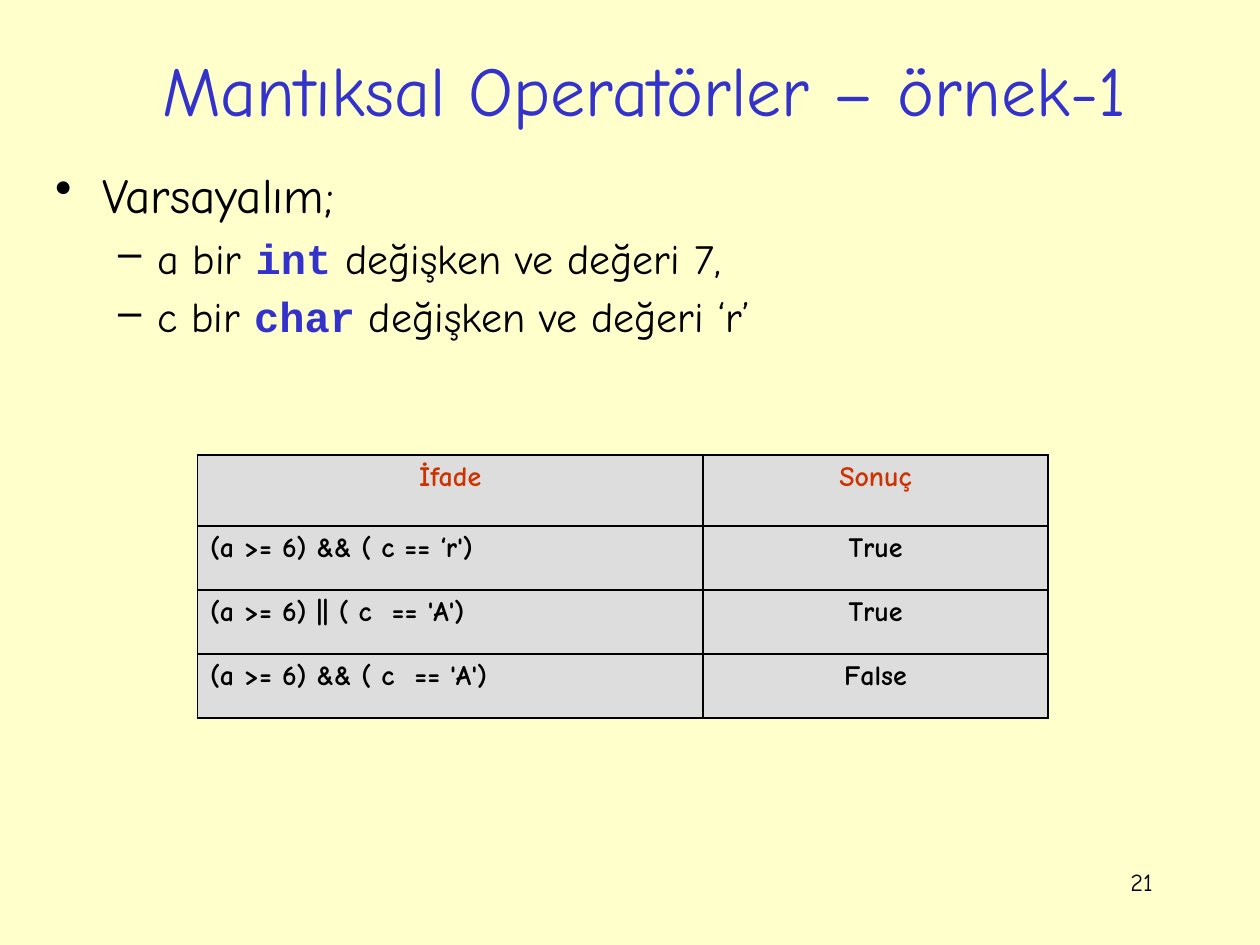
from lxml.etree import SubElement
from pptx import Presentation
from pptx.dml.color import RGBColor
from pptx.enum.text import MSO_ANCHOR, PP_ALIGN
from pptx.oxml.ns import qn
from pptx.util import Cm, Pt

# Content
TITLE = "Mantıksal Operatörler – örnek-1"
PAGE_NUMBER = "21"
# Each line: level, then its pieces as (text, is keyword)
LINES = [
    (0, [("Varsayalım;", False)]),
    (1, [("a bir ", False), ("int", True), (" değişken ve değeri 7,", False)]),
    (1, [("c bir ", False), ("char", True), (" değişken ve değeri ‘r’", False)]),
]
TABLE_ROWS = [
    ("İfade", "Sonuç"),
    ("(a >= 6) && ( c == ‘r')", "True"),
    ("(a >= 6) || ( c  == 'A')", "True"),
    ("(a >= 6) && ( c  == 'A')", "False"),
]

# Style
COLORS = {
    "background": "FFFFCC",
    "accent": "3333CC",
    "text": "000000",
    "header": "CC3300",
    "cell": "DDDDDD",
    "border": "000000",
}
FONT, CODE_FONT = "Comic Neue", "Courier New"
# Per level: bullet, size, left margin and hanging indent in cm
LEVELS = [("•", 28, 0.95, 0.95), ("–", 24, 2.06, 0.79)]
COLUMN_WIDTHS = (10.19, 6.96)
HEADER_HEIGHT, ROW_HEIGHT = 1.43, 1.29


def format_run(run, size, color, name=FONT, bold=False):
    run.font.size = Pt(size)
    run.font.name = name
    run.font.bold = bold
    run.font.color.rgb = RGBColor.from_string(COLORS[color])


def add_text_box(slide, left, top, width, height):
    box = slide.shapes.add_textbox(Cm(left), Cm(top), Cm(width), Cm(height))
    box.text_frame.word_wrap = True
    return box.text_frame


def add_line(slide, text, position, size, color, align, anchor=MSO_ANCHOR.TOP):
    frame = add_text_box(slide, *position)
    frame.text = text
    frame.vertical_anchor = anchor
    paragraph = frame.paragraphs[0]
    paragraph.alignment = align
    format_run(paragraph.runs[0], size, color)


def add_bullet(paragraph, level):
    character, size, margin, hanging = LEVELS[level]
    paragraph.level = level
    paragraph.space_before = Pt(size * 0.2)
    properties = paragraph._p.get_or_add_pPr()
    properties.set("marL", str(Cm(margin)))
    properties.set("indent", str(-Cm(hanging)))
    SubElement(properties, qn("a:buChar"), char=character)


def add_borders(cell):
    properties = cell._tc.get_or_add_tcPr()
    for side in ("lnL", "lnR", "lnT", "lnB"):
        line = SubElement(properties, qn(f"a:{side}"), w=str(Pt(1)))
        fill = SubElement(line, qn("a:solidFill"))
        SubElement(fill, qn("a:srgbClr"), val=COLORS["border"])


presentation = Presentation()
presentation.slide_width, presentation.slide_height = Cm(25.4), Cm(19.05)
slide = presentation.slides.add_slide(presentation.slide_layouts[6])
slide.background.fill.solid()
slide.background.fill.fore_color.rgb = RGBColor.from_string(COLORS["background"])

# Page number and title
add_line(slide, PAGE_NUMBER, (18.21, 17.35, 5.28, 1.27), 14, "text", PP_ALIGN.RIGHT)
add_line(slide, TITLE, (1.35, 0.76, 23.27, 2.03), 40, "accent",
         PP_ALIGN.CENTER, MSO_ANCHOR.MIDDLE)

# Bulleted assumptions
body = add_text_box(slide, 0.86, 3.2, 23.42, 4.95)
for index, (level, pieces) in enumerate(LINES):
    paragraph = body.add_paragraph() if index else body.paragraphs[0]
    add_bullet(paragraph, level)
    for text, is_keyword in pieces:
        run = paragraph.add_run()
        run.text = text
        if is_keyword:
            format_run(run, LEVELS[level][1], "accent", CODE_FONT, bold=True)
        else:
            format_run(run, LEVELS[level][1], "text")

# Table of expressions and results
table_height = HEADER_HEIGHT + ROW_HEIGHT * (len(TABLE_ROWS) - 1)
table = slide.shapes.add_table(
    len(TABLE_ROWS), len(COLUMN_WIDTHS),
    Cm(3.98), Cm(9.17), Cm(sum(COLUMN_WIDTHS)), Cm(table_height)).table
for column, width in zip(table.columns, COLUMN_WIDTHS):
    column.width = Cm(width)
for row_index, texts in enumerate(TABLE_ROWS):
    is_header = row_index == 0
    table.rows[row_index].height = Cm(HEADER_HEIGHT if is_header else ROW_HEIGHT)
    for column_index, text in enumerate(texts):
        cell = table.cell(row_index, column_index)
        add_borders(cell)
        cell.fill.solid()
        cell.fill.fore_color.rgb = RGBColor.from_string(COLORS["cell"])
        cell.text_frame.text = text
        paragraph = cell.text_frame.paragraphs[0]
        is_centered = is_header or column_index == 1
        paragraph.alignment = PP_ALIGN.CENTER if is_centered else PP_ALIGN.LEFT
        format_run(paragraph.runs[0], 16, "header" if is_header else "text", bold=True)

presentation.save("out.pptx")
